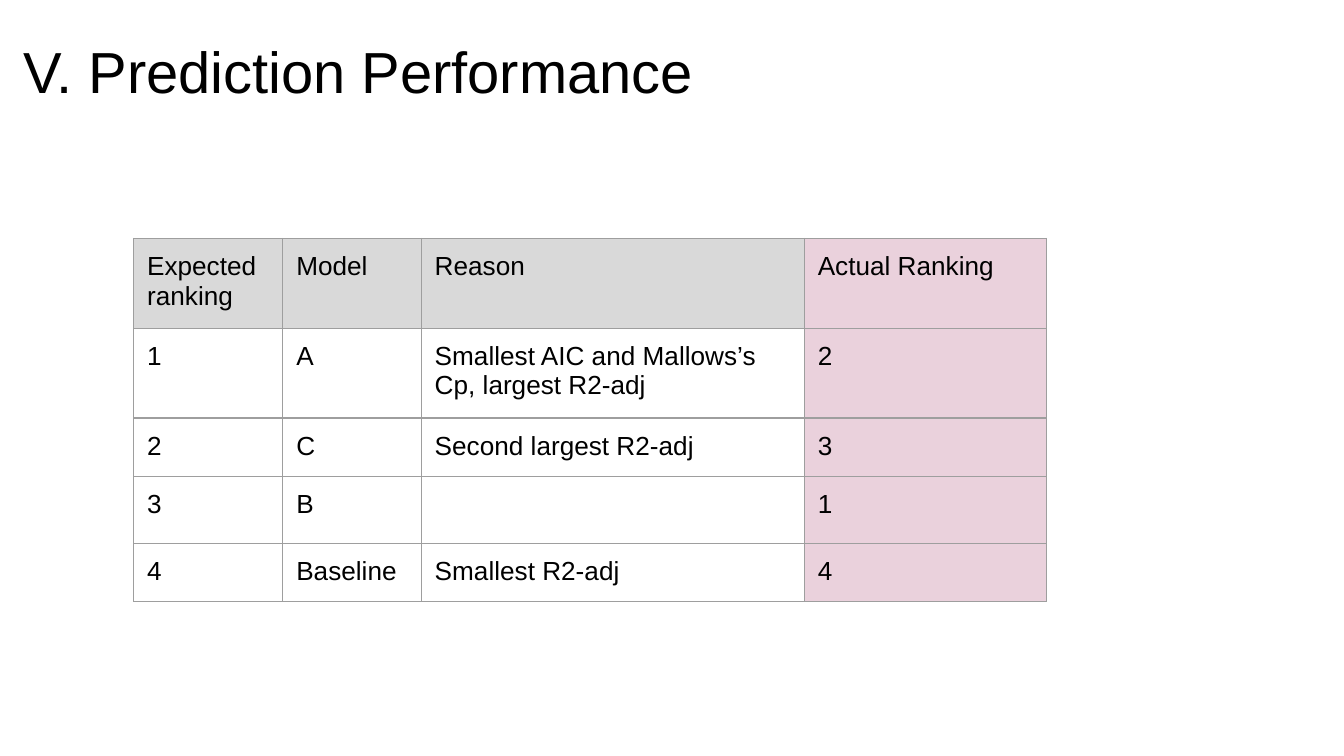
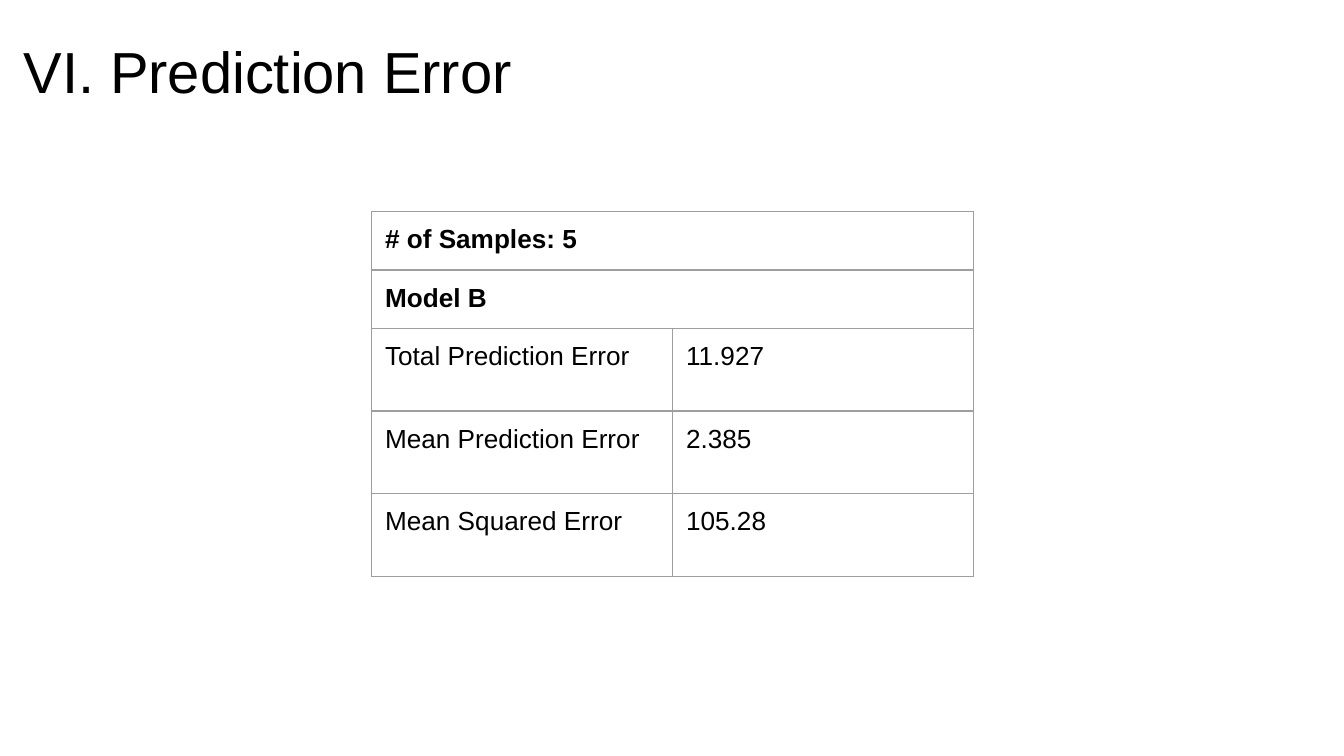
from dataclasses import dataclass
from typing import Optional

from lxml import etree
from pptx import Presentation
from pptx import util as u
from pptx.dml.color import RGBColor
from pptx.enum import text as t
from pptx.oxml import ns

# Shared style
PX = 4572  # EMU in one px, 200 px to the inch
WIDE, HIGH = 2000, 1125
FONT = "Arial"
BLACK = RGBColor(0x00, 0x00, 0x00)
WHITE = RGBColor(0xFF, 0xFF, 0xFF)
GRAY = RGBColor(0xD9, 0xD9, 0xD9)
PINK = RGBColor(0xEA, 0xD1, 0xDC)
EDGE = RGBColor(0x9E, 0x9E, 0x9E)
PAD = 20
SIDE = 656  # nominal side of a table frame


@dataclass
class Grid:
    left: int
    top: int
    cols: list[int]
    rows: list[int]
    data: list[list[str]]
    heads: int = 0  # rows merged across, in bold
    shade: Optional[RGBColor] = None  # fill of the first row
    mark: Optional[RGBColor] = None  # fill of the last column


@dataclass
class Page:
    title: str
    width: int
    grid: Grid


PAGES = [
    Page("V. Prediction Performance", 1054, Grid(
        199, 355, [222, 206, 570, 360], [84, 84, 86, 86, 86],
        [["Expected ranking", "Model", "Reason", "Actual Ranking"],
         ["1", "A", "Smallest AIC and Mallows’s Cp, largest R2-adj", "2"],
         ["2", "C", "Second largest R2-adj", "3"],
         ["3", "B", "", "1"],
         ["4", "Baseline", "Smallest R2-adj", "4"]],
        shade=GRAY, mark=PINK)),
    Page("VI. Prediction Error", 1160, Grid(
        553, 315, [448] * 2, [84] * 2 + [123] * 3,
        [["# of Samples: 5", ""],
         ["Model B", ""],
         ["Total Prediction Error", "11.927"],
         ["Mean Prediction Error", "2.385"],
         ["Mean Squared Error", "105.28"]],
        heads=2)),
]


def px(n: int) -> u.Emu:
    return u.Emu(n * PX)


def write(frame, words: str, *, size: int = 14, bold: bool = False,
          lead: Optional[float] = None) -> None:
    para = frame.paragraphs[0]
    para.line_spacing = lead
    run = para.add_run()
    run.text = words
    font = run.font
    font.name, font.size, font.bold = FONT, u.Pt(size), bold
    font.color.rgb = BLACK


def add_title(slide, words: str, width: int) -> None:
    box = slide.shapes.add_textbox(px(20), px(46), px(width), px(176))
    frame = box.text_frame
    frame.word_wrap = True
    frame.vertical_anchor = t.MSO_ANCHOR.BOTTOM
    frame.margin_left = frame.margin_right = px(15)
    frame.margin_top, frame.margin_bottom = px(8), px(64)
    write(frame, words, size=31, lead=0.9)


def add_edges(cell) -> None:
    props = cell._tc.get_or_add_tcPr()
    for spot, side in enumerate("LRTB"):
        line = etree.Element(ns.qn(f"a:ln{side}"), w=str(u.Pt(0.75)))
        fill = etree.SubElement(line, ns.qn("a:solidFill"))
        etree.SubElement(fill, ns.qn("a:srgbClr"), val=str(EDGE))
        props.insert(spot, line)


def style(cell, fill: Optional[RGBColor]) -> None:
    cell.margin_left = cell.margin_right = px(PAD)
    cell.margin_top = cell.margin_bottom = px(PAD)
    if fill is None:
        cell.fill.background()
    else:
        cell.fill.solid()
        cell.fill.fore_color.rgb = fill
    add_edges(cell)


def add_grid(slide, grid: Grid) -> None:
    last = len(grid.cols) - 1
    shape = slide.shapes.add_table(
        len(grid.rows), len(grid.cols), px(grid.left), px(grid.top),
        px(SIDE), px(SIDE))
    table = shape.table
    table.first_row = table.horz_banding = False
    for col, wide in zip(table.columns, grid.cols):
        col.width = px(wide)
    for row, high in zip(table.rows, grid.rows):
        row.height = px(high)
    # Column and row sizes reset the frame, so restore it
    shape.width = shape.height = px(SIDE)
    for r, line in enumerate(grid.data):
        for c, words in enumerate(line):
            cell = table.cell(r, c)
            fill = grid.shade if r == 0 else None
            if c == last and grid.mark is not None:
                fill = grid.mark
            style(cell, fill)
            if words:
                write(cell.text_frame, words, bold=r < grid.heads)
        if r < grid.heads:
            table.cell(r, 0).merge(table.cell(r, last))


def main() -> None:
    deck = Presentation()
    deck.slide_width, deck.slide_height = px(WIDE), px(HIGH)
    blank = deck.slide_layouts[6]
    for page in PAGES:
        slide = deck.slides.add_slide(blank)
        back = slide.background.fill
        back.solid()
        back.fore_color.rgb = WHITE
        add_title(slide, page.title, page.width)
        add_grid(slide, page.grid)
    deck.save("out.pptx")


if __name__ == "__main__":
    main()
